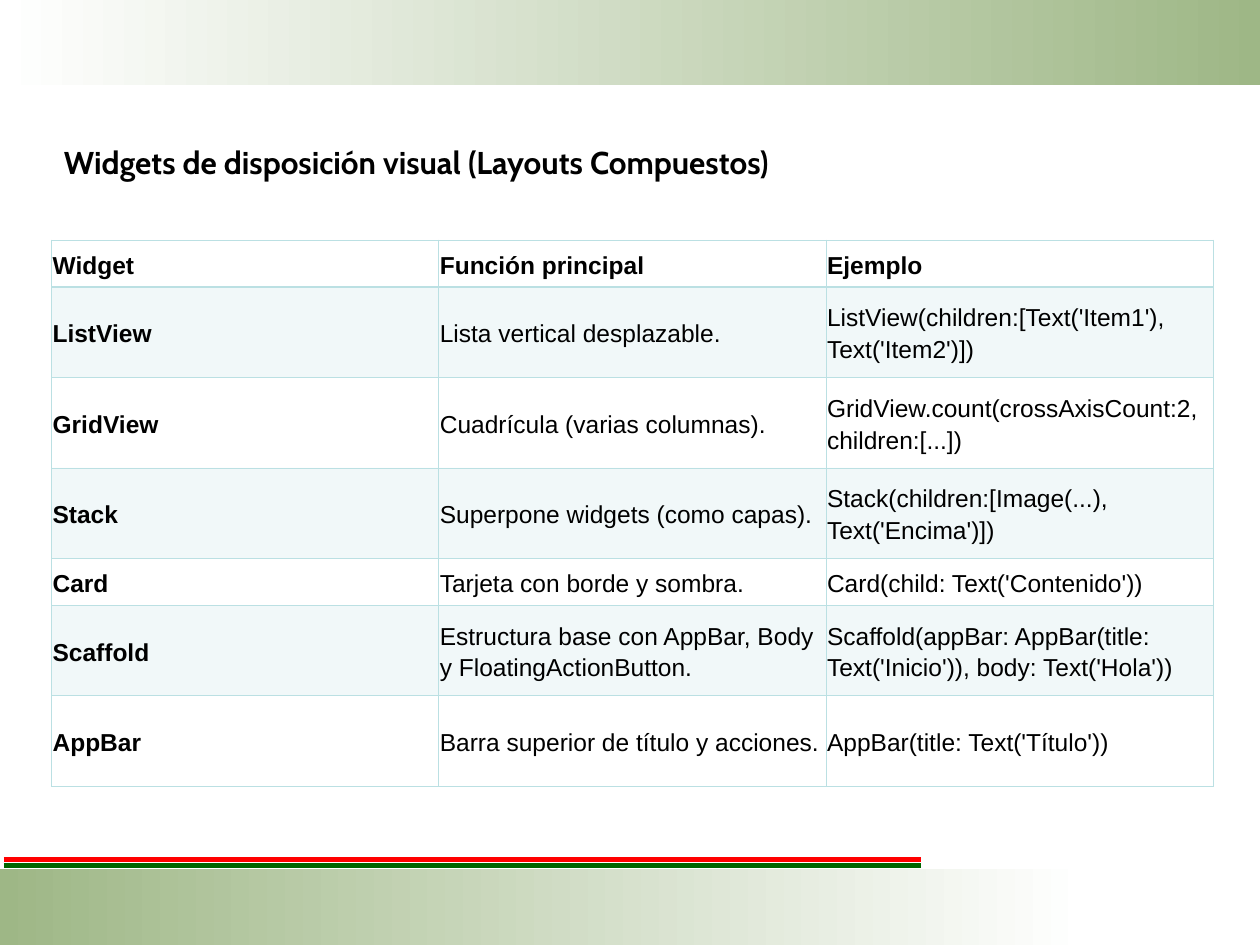
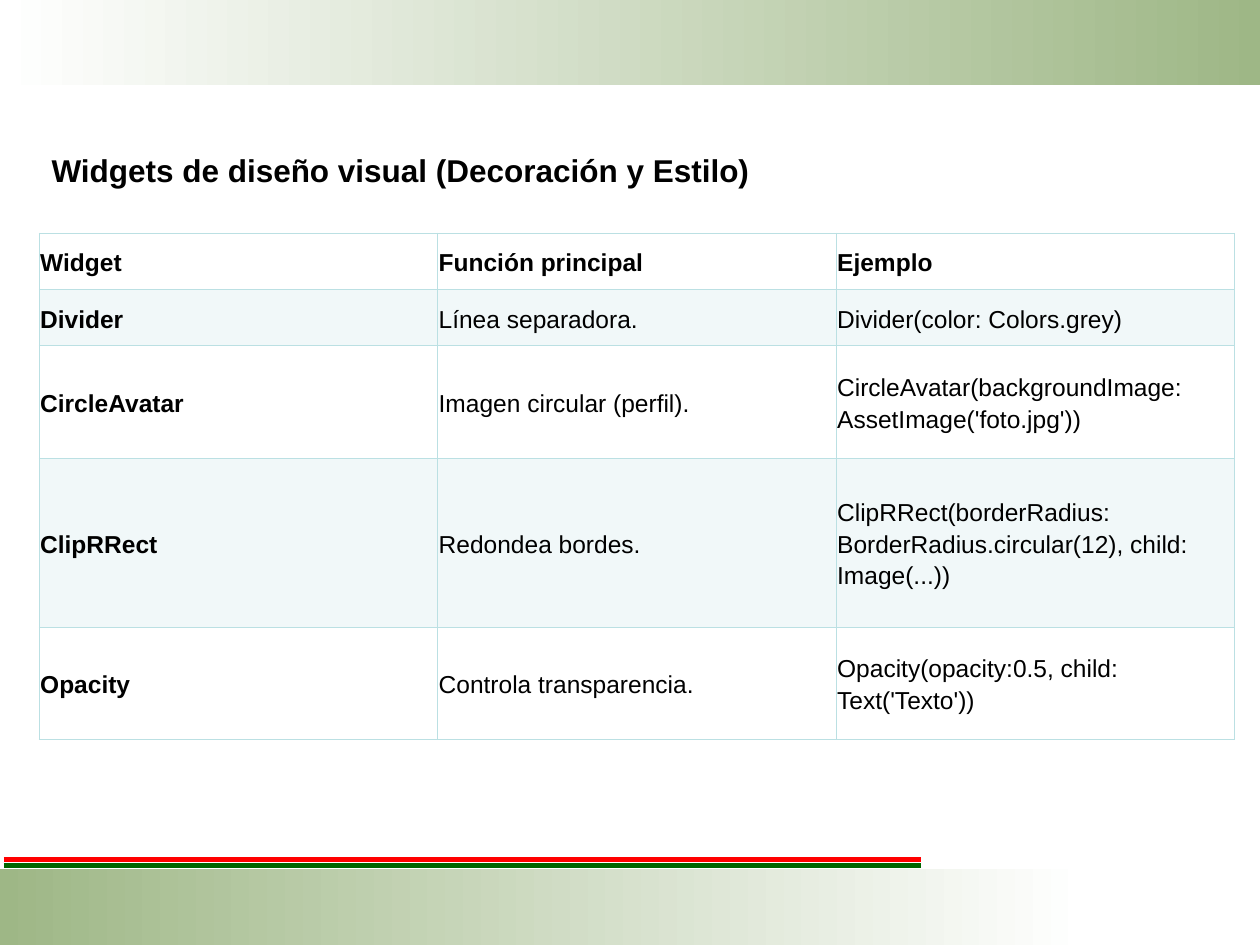
from lxml import etree
from pptx import Presentation
from pptx.dml.color import RGBColor
from pptx.enum.shapes import MSO_CONNECTOR, MSO_SHAPE
from pptx.enum.text import MSO_ANCHOR, MSO_AUTO_SIZE
from pptx.oxml import parse_xml
from pptx.oxml.ns import nsdecls, qn
from pptx.util import Cm, Pt

STRAIGHT = MSO_CONNECTOR.STRAIGHT
RECT = MSO_SHAPE.RECTANGLE
MIDDLE = MSO_ANCHOR.MIDDLE
GROW = MSO_AUTO_SIZE.SHAPE_TO_FIT_TEXT

COLORS = {
    "white": "FFFFFF",
    "sage": "9EB786",
    "red": "FF0000",
    "green": "006600",
    "black": "000000",
    "aqua": "BBE0E3",
}
BODY_FONT = "Arial"
THIN, THICK = 0.45, 0.96
HEADER = ("Widget", "Función principal", "Ejemplo")

LAYOUT_WIDGETS = [
    HEADER,
    ("ListView", "Lista vertical desplazable.",
     "ListView(children:[Text('Item1'), Text('Item2')])"),
    ("GridView", "Cuadrícula (varias columnas).",
     "GridView.count(crossAxisCount:2, children:[...])"),
    ("Stack", "Superpone widgets (como capas).",
     "Stack(children:[Image(...), Text('Encima')])"),
    ("Card", "Tarjeta con borde y sombra.", "Card(child: Text('Contenido'))"),
    ("Scaffold", "Estructura base con AppBar, Body y FloatingActionButton.",
     "Scaffold(appBar: AppBar(title: Text('Inicio')), body: Text('Hola'))"),
    ("AppBar", "Barra superior de título y acciones.",
     "AppBar(title: Text('Título'))"),
]
STYLE_WIDGETS = [
    HEADER,
    ("Divider", "Línea separadora.", "Divider(color: Colors.grey)"),
    ("CircleAvatar", "Imagen circular (perfil).",
     "CircleAvatar(backgroundImage: AssetImage('foto.jpg'))"),
    ("ClipRRect", "Redondea bordes.",
     "ClipRRect(borderRadius: BorderRadius.circular(12), child: Image(...))"),
    ("Opacity", "Controla transparencia.",
     "Opacity(opacity:0.5, child: Text('Texto'))"),
]


def rgb(name):
    return RGBColor.from_string(COLORS[name])


def style_paragraph(p, size, bold, font=BODY_FONT):
    p.font.name = font
    p.font.size = Pt(size)
    p.font.bold = bold
    p.font.color.rgb = rgb("black")


def space_paragraph(p):
    p.line_spacing = 1.15
    p.space_after = Pt(8)


def add_band(s, top, width, height, start, end):
    sp = s.shapes.add_shape(RECT, 0, Cm(top), Cm(width), Cm(height))
    sp.shadow.inherit = False
    sp.line.fill.background()
    sp.fill.gradient()
    sp.fill.gradient_angle = 0
    for stop, color in zip(sp.fill.gradient_stops, (start, end)):
        stop.color.rgb = rgb(color)


def add_stripe(s, y, color):
    line = s.shapes.add_connector(STRAIGHT, Cm(0.08), Cm(y), Cm(18.57), Cm(y))
    line.line.color.rgb = rgb(color)
    line.line.width = Pt(3)
    etree.SubElement(line._element.spPr, qn("a:effectLst"))


def add_frame(s):
    add_band(s, 0, 25.4, 1.72, "white", "sage")
    add_band(s, 17.52, 21.9, 1.53, "sage", "white")
    add_stripe(s, 17.32, "red")
    add_stripe(s, 17.45, "green")


def add_title(s, text, left, top, width, height, font=BODY_FONT):
    tf = s.shapes.add_textbox(Cm(left), Cm(top), Cm(width), Cm(height)).text_frame
    tf.word_wrap = True
    tf.auto_size = GROW
    p = tf.paragraphs[0]
    p.text = text
    style_paragraph(p, 18, True, font)
    return p


def set_borders(cell, top, bottom):
    tcPr = cell._tc.get_or_add_tcPr()
    widths = {"lnL": THIN, "lnR": THIN, "lnT": top, "lnB": bottom}
    for i, (side, width) in enumerate(widths.items()):
        tcPr.insert(i, parse_xml(
            f'<a:{side} {nsdecls("a")} w="{Pt(width)}"><a:solidFill>'
            f'<a:srgbClr val="{COLORS["aqua"]}"/></a:solidFill></a:{side}>'))


def fill_cell(cell, banded):
    if not banded:
        cell.fill.background()
        return
    cell.fill.solid()
    cell.fill.fore_color.rgb = rgb("aqua")
    color = cell._tc.tcPr.find(".//" + qn("a:srgbClr"))
    etree.SubElement(color, qn("a:alpha"), val="20000")


def format_cell(cell, text, row, col):
    cell.vertical_anchor = MIDDLE
    cell.margin_left = cell.margin_right = Cm(0.02)
    cell.margin_top = cell.margin_bottom = Cm(0.13)
    p = cell.text_frame.paragraphs[0]
    p.text = text
    space_paragraph(p)
    style_paragraph(p, 14, row == 0 or col == 0)
    fill_cell(cell, row % 2 == 1)
    set_borders(cell, THICK if row == 1 else THIN, THICK if row == 0 else THIN)


def add_widget_table(s, rows, row_lines, left, top, width, height):
    table = s.shapes.add_table(len(rows), len(HEADER), Cm(left), Cm(top),
                               Cm(width), Cm(height)).table
    table.first_row = table.horz_banding = False
    for column in table.columns:
        column.width = Cm(width / len(HEADER))
    for r, (texts, lines) in enumerate(zip(rows, row_lines)):
        table.rows[r].height = Cm(height * lines / sum(row_lines))
        for c, text in enumerate(texts):
            format_cell(table.cell(r, c), text, r, c)


def add_slide(prs):
    s = prs.slides.add_slide(prs.slide_layouts[6])
    add_frame(s)
    return s


def main():
    prs = Presentation()
    prs.slide_width, prs.slide_height = Cm(25.4), Cm(19.05)

    s = add_slide(prs)
    p = add_title(s, "Widgets de disposición visual (Layouts Compuestos)",
                  1.04, 2.64, 20.07, 1.14, "Cabin")
    space_paragraph(p)
    add_widget_table(s, LAYOUT_WIDGETS, (1, 2, 2, 2, 1, 2, 2),
                     1.04, 4.84, 23.42, 10.95)

    s = add_slide(prs)
    add_title(s, "Widgets de diseño visual (Decoración y Estilo)",
              0.79, 2.92, 18.31, 1.02)
    add_widget_table(s, STYLE_WIDGETS, (1, 1, 2, 3, 2),
                     0.79, 4.7, 24.1, 10.21)

    prs.save("out.pptx")


if __name__ == "__main__":
    main()
